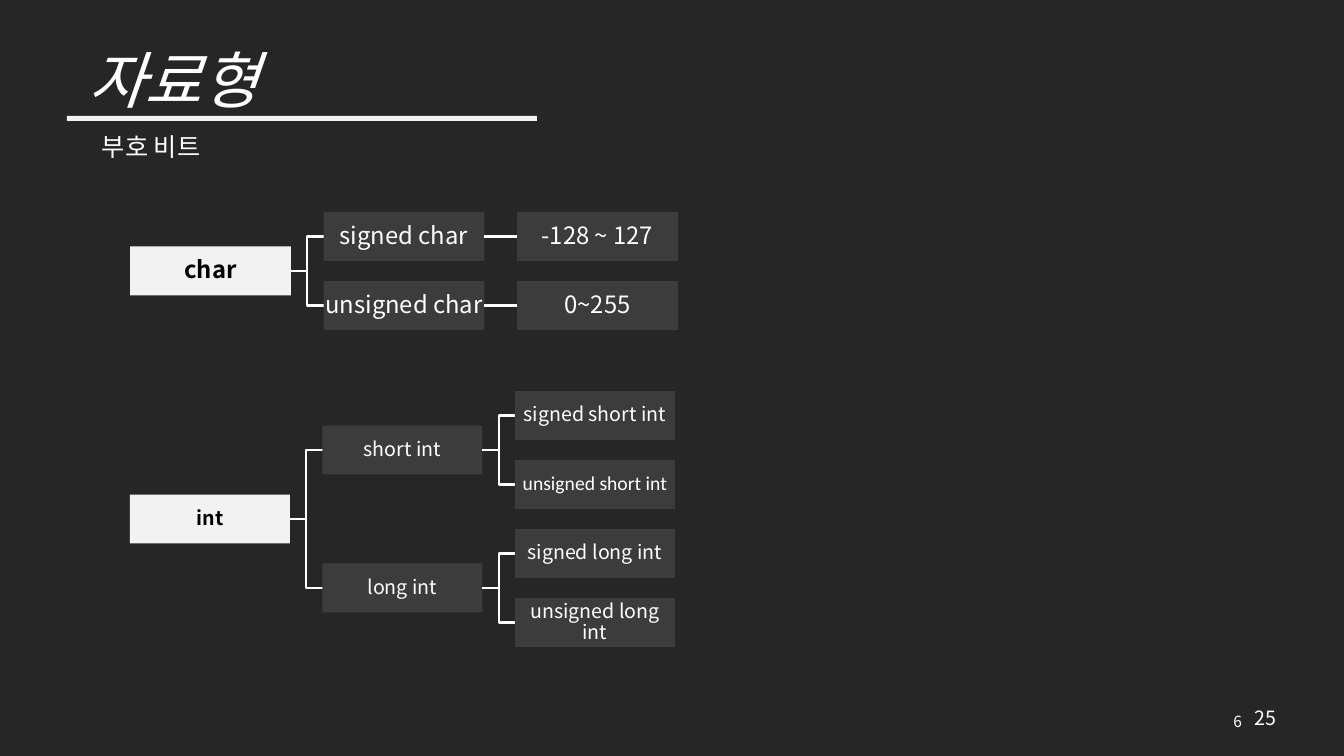
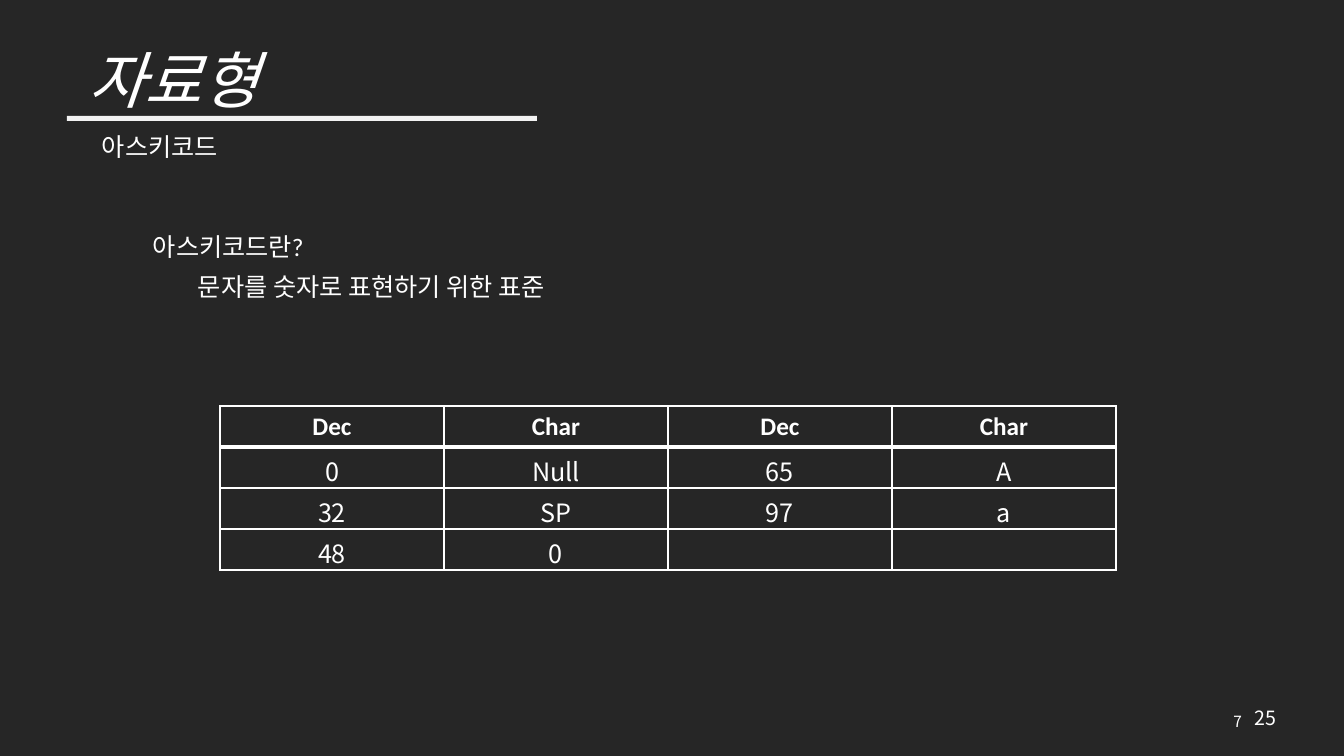
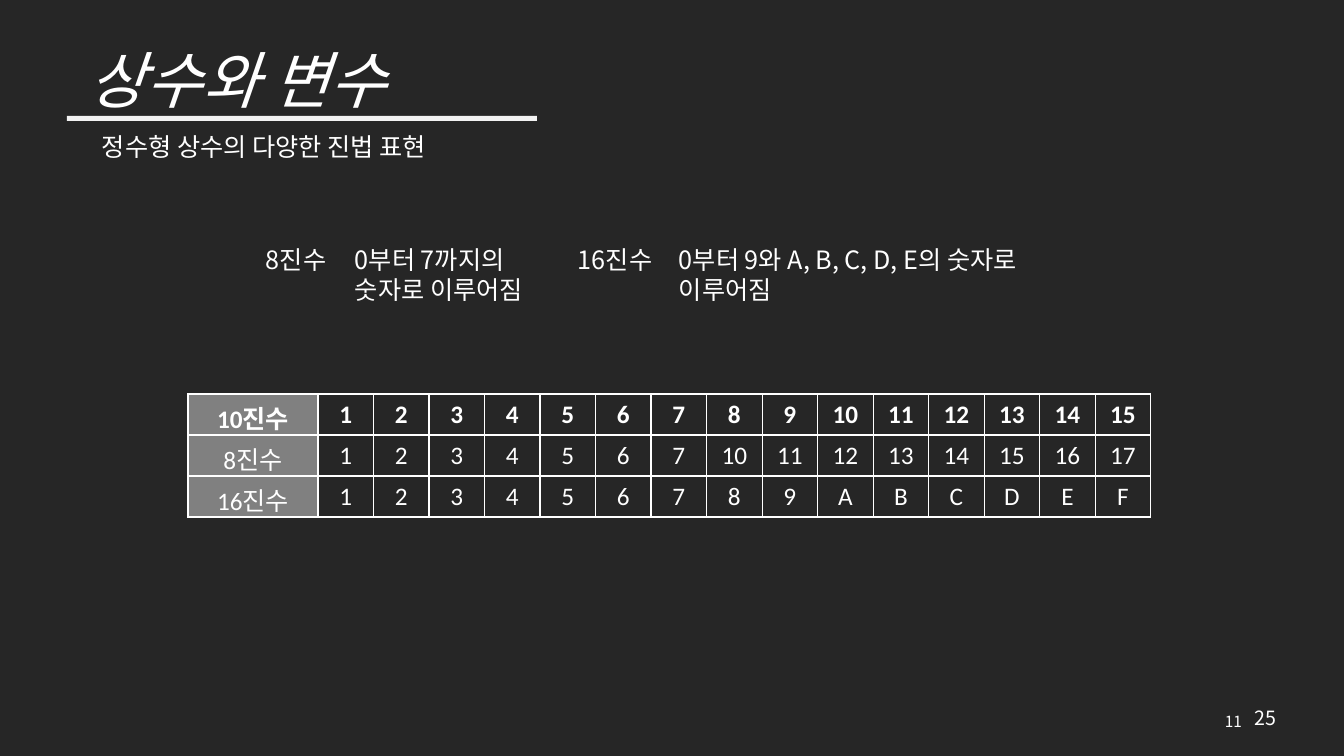
"""Build three dark lecture slides on data types, ASCII codes and number bases."""
from lxml.etree import SubElement
from pptx import Presentation
from pptx.dml.color import RGBColor
from pptx.enum.shapes import MSO_CONNECTOR, MSO_SHAPE
from pptx.enum.text import MSO_ANCHOR as ANCHOR, PP_ALIGN as ALIGN
from pptx.oxml.ns import qn
from pptx.util import Pt

PX = 914400 / 100.8
WHITE = RGBColor(0xFF, 0xFF, 0xFF)
BLACK = RGBColor(0, 0, 0)
BACKGROUND = RGBColor(0x26, 0x26, 0x26)
LIGHT = RGBColor(0xF2, 0xF2, 0xF2)
PANEL = RGBColor(0x3C, 0x3C, 0x3C)
GREY = RGBColor(0x80, 0x80, 0x80)
NOTO = "Noto Sans CJK KR"
CALIBRI = "Calibri"


def write(frame, text, size=18, font=NOTO, color=WHITE, align=ALIGN.LEFT,
          anchor=ANCHOR.TOP, bold=False, italic=False, spacing=None):
    frame.word_wrap = True
    frame.vertical_anchor = anchor
    paragraph = frame.paragraphs[0]
    paragraph.alignment = align
    paragraph.line_spacing = spacing
    run = paragraph.add_run()
    run.text = text
    run.font.size = Pt(size)
    run.font.name = font
    run.font.color.rgb = color
    run.font.bold = bold
    run.font.italic = italic
    SubElement(run.font._element, qn("a:ea"), typeface=NOTO)


def draw_table(slide, box, widths, rows, body_font, header_line, label_column):
    lengths = [round(value * PX) for value in box]
    table = slide.shapes.add_table(len(rows), len(widths), *lengths).table
    table.first_row = table.horz_banding = False
    for column, width in zip(table.columns, widths):
        column.width = round(width * PX)
    for r, row in enumerate(rows):
        for c, text in enumerate(row):
            cell = table.cell(r, c)
            cell.margin_bottom = 0
            properties = cell._tc.get_or_add_tcPr()
            for side in ("L", "R", "T", "B"):
                under_header = (r, side) in ((0, "B"), (1, "T"))
                weight = header_line if under_header else 1
                line = SubElement(properties, qn(f"a:ln{side}"), w=str(Pt(weight)))
                fill = SubElement(line, qn("a:solidFill"))
                SubElement(fill, qn("a:srgbClr"), val=str(WHITE))
            if label_column and c == 0:
                cell.fill.solid()
                cell.fill.fore_color.rgb = GREY
            else:
                cell.fill.background()
            if text:
                write(cell.text_frame, text, font=CALIBRI if r == 0 else body_font,
                      align=ALIGN.CENTER, bold=r == 0)


presentation = Presentation()
presentation.slide_width = round(1344 * PX)
presentation.slide_height = round(756 * PX)
master_fill = presentation.slide_master.background.fill
master_fill.solid()
master_fill.fore_color.rgb = BACKGROUND

title_style = dict(size=44, italic=True, align=ALIGN.CENTER, anchor=ANCHOR.MIDDLE, spacing=0.9)
number_style = dict(size=11, align=ALIGN.RIGHT, anchor=ANCHOR.MIDDLE)
subtitle_style = dict(font=CALIBRI)

pages = [
    ("6", "자료형 ", (67, 29, 226, 109), "부호 비트", []),
    ("7", "자료형 ", (67, 29, 226, 109), "아스키코드", [
        ("아스키코드란?", (143, 226, 185, 40), CALIBRI),
        ("문자를 숫자로 표현하기 위한 표준", (188, 266, 402, 40), CALIBRI),
    ]),
    ("11", "상수와 변수 ", (35, 29, 419, 109), "정수형 상수의 다양한 진법 표현", [
        ("8진수", (256, 239, 89, 40), NOTO),
        ("0부터 7까지의 숫자로 이루어짐", (345, 239, 211, 72), NOTO),
        ("16진수", (568, 239, 101, 40), NOTO),
        ("0부터 9와 A, B, C, D, E의 숫자로 이루어짐 ", (669, 239, 383, 72), NOTO),
    ]),
]
slides = []
for number, title, title_box, subtitle, notes in pages:
    slide = presentation.slides.add_slide(presentation.slide_layouts[6])
    slides.append(slide)
    rule = slide.shapes.add_shape(
        MSO_SHAPE.RECTANGLE, *[round(value * PX) for value in (67, 116, 470, 5)])
    rule.shadow.inherit = False
    rule.fill.solid()
    rule.fill.fore_color.rgb = LIGHT
    rule.line.fill.background()
    texts = [
        ("25", (1245, 701, 50, 34), dict(size=14)),
        (title, title_box, title_style),
        (number, (950, 701, 302, 40), number_style),
        (subtitle, (92, 126, 371, 40), subtitle_style),
    ] + [(text, box, dict(font=font)) for text, box, font in notes]
    for text, box, style in texts:
        text_box = slide.shapes.add_textbox(*[round(value * PX) for value in box])
        write(text_box.text_frame, text, **style)

type_slide, ascii_slide, base_slide = slides

ROW_STEP, BOX_HEIGHT = 69, 49
char_nodes = [
    ("char", 0, 0.5, None),
    ("signed char", 1, 0, 0), ("-128 ~ 127", 2, 0, 1),
    ("unsigned char", 1, 1, 0), ("0~255", 2, 1, 3),
]
int_nodes = [
    ("int", 0, 1.5, None),
    ("short int", 1, 0.5, 0), ("signed short int", 2, 0, 1), ("unsigned short int", 2, 1, 1),
    ("long int", 1, 2.5, 0), ("signed long int", 2, 2, 4), ("unsigned long int", 2, 3, 4),
]
trees = [(char_nodes, 212, 161, 193.5, 17), (int_nodes, 391, 160, 192.5, 14)]
for nodes, top, box_width, column_step, size in trees:
    for label, column, row, parent in nodes:
        left = 130 + column * column_step
        y = top + row * ROW_STEP
        if parent is not None:
            start_x = left - column_step + box_width
            middle_x = (start_x + left) / 2
            start_y = top + nodes[parent][2] * ROW_STEP + BOX_HEIGHT / 2
            end_y = y + BOX_HEIGHT / 2
            if start_y == end_y:
                link = type_slide.shapes.add_connector(
                    MSO_CONNECTOR.STRAIGHT,
                    *[round(value * PX) for value in (start_x, start_y, left, end_y)])
                SubElement(link._element.spPr, qn("a:effectLst"))
            else:
                builder = type_slide.shapes.build_freeform(
                    round(start_x * PX), round(start_y * PX))
                corners = [(middle_x, start_y), (middle_x, end_y), (left, end_y)]
                builder.add_line_segments(
                    [(round(x * PX), round(corner_y * PX)) for x, corner_y in corners],
                    close=False)
                link = builder.convert_to_shape()
                link.shadow.inherit = False
                link.fill.background()
            link.line.color.rgb = WHITE
            link.line.width = Pt(1.5)
        root = parent is None
        box = type_slide.shapes.add_shape(
            MSO_SHAPE.RECTANGLE,
            *[round(value * PX) for value in (left, y, box_width, BOX_HEIGHT)])
        box.shadow.inherit = False
        box.fill.solid()
        box.fill.fore_color.rgb = LIGHT if root else PANEL
        box.line.fill.background()
        frame = box.text_frame
        frame.margin_left = frame.margin_right = round(PX)
        frame.margin_top = frame.margin_bottom = round(PX)
        write(frame, label, size, CALIBRI if label == "unsigned short int" else NOTO,
              BLACK if root else WHITE, ALIGN.CENTER, ANCHOR.MIDDLE, bold=root, spacing=0.9)

ascii_rows = [
    ["Dec", "Char", "Dec", "Char"],
    ["0", "Null", "65", "A"],
    ["32", "SP", "97", "a"],
    ["48", "0", "", ""],
]
draw_table(ascii_slide, (220, 406, 896, 164), [224] * 4, ascii_rows, NOTO, 3, False)

values = range(1, 16)
base_rows = [
    ["10진수"] + [str(value) for value in values],
    ["8진수"] + [f"{value:o}" for value in values],
    ["16진수"] + [f"{value:X}" for value in values],
]
draw_table(base_slide, (188, 394, 963, 123), [130] + [833 / 15] * 15,
           base_rows, CALIBRI, 2, True)

presentation.save("out.pptx")
